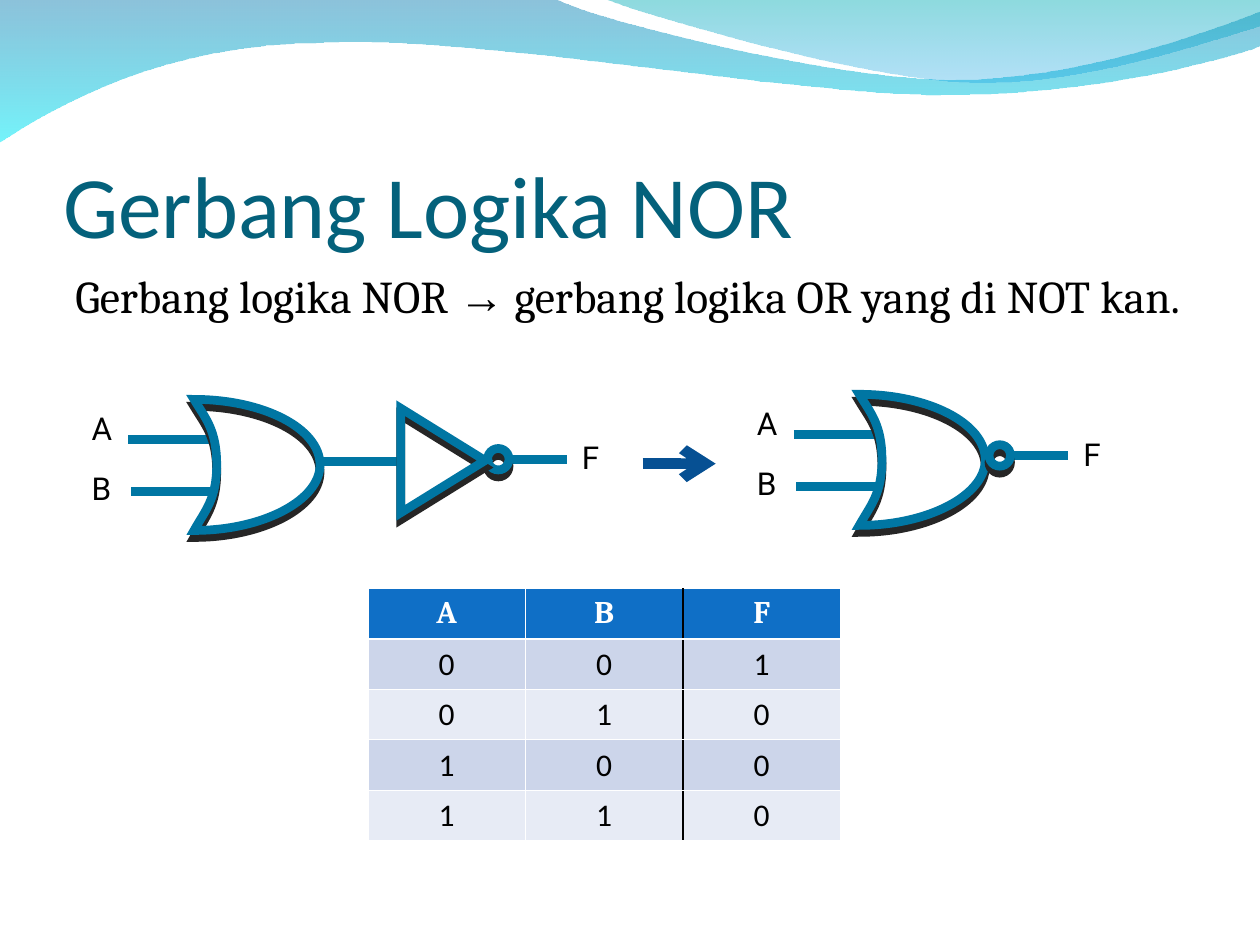
from pptx import Presentation
from pptx.dml.color import RGBColor
from pptx.enum.shapes import MSO_CONNECTOR as Connector, MSO_SHAPE as Preset
from pptx.enum.text import MSO_ANCHOR as Anchor, PP_ALIGN as Align
from pptx.oxml import parse_xml
from pptx.oxml.ns import nsdecls, qn
from pptx.util import Inches, Pt

GATE_BLUE, ARROW_BLUE, SHADOW = "0076A3", "065093", "262626"
TRUTH_TABLE = ["ABF", "001", "010", "100", "110"]


def color(hex_code):
    return RGBColor.from_string(hex_code)


def xml(markup):
    """Parse one DrawingML element, adding its namespace to the first tag."""
    tag, rest = markup.split(" ", 1)
    return parse_xml(f"{tag} {nsdecls('a')} {rest}")


def write(para, text, font="Calibri", size=18, ink="000000", bold=False, align=None):
    span = para.add_run()
    span.text = text
    span.font.name, span.font.size, span.font.bold = font, Pt(size), bold
    span.font.color.rgb = color(ink)
    if align is not None:
        para.alignment = align


def add_outline(shapes, start, *segments, left=0, top=0):
    """Closed outline; a segment is (x, y) for a line or six numbers for a curve."""
    def corner(x, y):
        return Inches(left + x), Inches(top + y)

    builder = shapes.build_freeform(*corner(*start), scale=1.0)
    builder.add_line_segments(
        [corner(*segment[i:i + 2]) for segment in segments
         for i in range(0, len(segment), 2)], close=True)
    outline = builder.convert_to_shape()
    outline.shadow.inherit = False
    lines = iter(list(outline.element.iter(qn("a:lnTo"))))
    for segment in segments:
        first = next(lines)
        if len(segment) == 6:
            bezier = xml("<a:cubicBezTo />")
            first.addprevious(bezier)
            for line in (first, next(lines), next(lines)):
                bezier.append(line[0])
                line.getparent().remove(line)
    return outline


def add_wave(page, stops, *outline):
    """Fill a band with a vertical gradient and move it to the layout."""
    wave = add_outline(page.shapes, *outline)
    wave.line.fill.background()
    wave.fill.gradient()
    wave.fill.gradient_angle = 270
    for stop, (position, hex_code, _) in zip(wave.fill.gradient_stops, stops):
        stop.position = position
        stop.color.rgb = color(hex_code)
    for node, (_, _, opacity) in zip(wave.element.iter(qn("a:srgbClr")), stops):
        node.append(xml(f'<a:alpha val="{opacity * 1000}"/>'))
    page.slide_layout.shapes.element.append(wave.element)


def add_waves(page):
    add_wave(page, [(0, "0079AF", 45), (1, "00EBF8", 55)],
             (0, -0.01), (4.4, -0.01), (4.76, 0.17, 6.64, 0.63, 7.58, 0.63),
             (8.53, 0.63, 9.58, 0.26, 10, 0.09), (10.01, 0.36),
             (9.83, 0.44, 8.7, 0.76, 7.46, 0.75), (6.22, 0.75, 3.82, 0.28, 2.57, 0.34),
             (1.29, 0.35, 0.46, 0.83, -0.01, 1.13))
    add_wave(page, [(0, "00ADB6", 45), (1, "009BE5", 30)],
             (4.79, -0.01), (5.09, 0.11, 6.82, 0.62, 7.69, 0.65),
             (8.56, 0.69, 9.61, 0.32, 10, 0.21), (10, 0))


def style_gate(shape):
    """Give a gate part its hollow thick outline and hard shadow below."""
    shape.fill.background()
    shape.line.color.rgb, shape.line.width = color(GATE_BLUE), Pt(5)
    shape.element.spPr.find(qn("a:ln")).append(xml('<a:miter lim="800000"/>'))
    shape.shadow.inherit = False
    shape.element.spPr.find(qn("a:effectLst")).append(xml(
        f'<a:outerShdw blurRad="0" dist="{Pt(4)}" dir="5400000" algn="ctr" rotWithShape="0">'
        f'<a:srgbClr val="{SHADOW}"/></a:outerShdw>'))


def add_wire(shapes, x1, x2, y, ink=GATE_BLUE, width=5, arrow=False):
    wire = shapes.add_connector(
        Connector.STRAIGHT, Inches(x1), Inches(y), Inches(x2), Inches(y))
    wire.line.color.rgb, wire.line.width = color(ink), Pt(width)
    if arrow:
        wire.element.spPr.find(qn("a:ln")).append(xml('<a:tailEnd type="arrow"/>'))
    wire.element.spPr.append(xml("<a:effectLst />"))


def add_label(shapes, text, left, top, width=0.36):
    box = shapes.add_textbox(Inches(left), Inches(top), Inches(width), Inches(0.4))
    box.text_frame.word_wrap = False
    write(box.text_frame.paragraphs[0], text, font="Roboto")


def add_or_gate(shapes, left, top):
    for name, start, wire_y, label_y in (("A", -0.52, 0.32, 0.03), ("B", -0.5, 0.73, 0.5)):
        add_wire(shapes, left + start, left + 0.15, top + wire_y)
        add_label(shapes, name, left - 0.91, top + label_y)
    style_gate(add_outline(
        shapes, (0, 1.04), (0.09, 0.88, 0.18, 0.79, 0.18, 0.52),
        (0.18, 0.24, 0.09, 0.15, 0, 0), (0.55, 0, 1, 0.23, 1, 0.52),
        (1, 0.8, 0.55, 1.04, 0, 1.04), left=left, top=top))


def add_output(shapes, left, top):
    """Inverting bubble, its wire and the label F."""
    size = 0.17
    add_wire(shapes, left + size, left + 0.63, top + size / 2)
    style_gate(shapes.add_shape(
        Preset.OVAL, Inches(left), Inches(top), Inches(size), Inches(size)))
    add_label(shapes, "F", left + 0.65, top - 0.13, width=0.33)


def add_or_then_not(page, left, top):
    shapes = page.shapes.add_group_shape().shapes
    add_wire(shapes, left + 0.98, left + 1.64, top + 0.49)
    add_output(shapes, left + 2.33, top + 0.39)
    triangle = shapes.add_shape(Preset.ISOSCELES_TRIANGLE, Inches(left + 1.56),
                                Inches(top + 0.15), Inches(0.83), Inches(0.67))
    triangle.rotation = 90
    style_gate(triangle)
    add_or_gate(shapes, left, top)


def add_nor(page, left, top):
    shapes = page.shapes.add_group_shape().shapes
    add_or_gate(shapes, left, top)
    add_output(shapes, left + 1.03, top + 0.4)


def set_borders(cell, **sides):
    """Draw cell borders; each side (L, R, T, B) is (colour, points)."""
    properties = cell._tc.get_or_add_tcPr()
    for index, side in enumerate("LRTB"):
        ink, width = sides[side]
        properties.insert(index, xml(
            f'<a:ln{side} w="{Pt(width)}"><a:solidFill><a:srgbClr val="{ink}"/>'
            f'</a:solidFill></a:ln{side}>'))


def add_truth_table(page, left, top, width, height):
    table = page.shapes.add_table(len(TRUTH_TABLE), 3, Inches(left), Inches(top),
                                  Inches(width), Inches(height)).table
    thin, thick, divider = ("FFFFFF", 0.45), ("FFFFFF", 1.47), ("000000", 1.47)
    for row, values in enumerate(TRUTH_TABLE):
        header = row == 0
        fill = "0F6FC6" if header else ("E7EBF5", "CCD5EA")[row % 2]
        look = dict(font="Cambria", ink="FFFFFF", bold=True) if header else {}
        for column, value in enumerate(values):
            cell = table.cell(row, column)
            cell.fill.solid()
            cell.fill.fore_color.rgb = color(fill)
            write(cell.text_frame.paragraphs[0], value, align=Align.CENTER, **look)
            set_borders(cell, L=divider if column == 2 else thin,
                        R=divider if column == 1 else thin,
                        T=thick if row == 1 else thin, B=thick if header else thin)


def set_title(page, text, left, top, width, height):
    title = page.shapes.title
    title.left, title.top, title.width, title.height = map(
        Inches, (left, top, width, height))
    frame = title.text_frame
    frame.vertical_anchor = Anchor.BOTTOM
    frame.margin_left = frame.margin_right = frame.margin_bottom = 0
    frame.margin_top = Inches(0.05)
    write(frame.paragraphs[0], text, size=50, ink="04617B", align=Align.LEFT)


def add_statement(page, left, top, width, height):
    box = page.shapes.add_textbox(*map(Inches, (left, top, width, height)))
    box.text_frame.word_wrap = True
    para = box.text_frame.paragraphs[0]
    indent = para._p.get_or_add_pPr()
    indent.set("marL", str(Inches(0.3)))
    indent.set("indent", str(Inches(-0.3)))
    for text, font in (("Gerbang logika NOR ", "Cambria"), ("→", "Arial"),
                       (" gerbang logika OR yang di NOT kan.", "Cambria")):
        write(para, text, font=font, size=26)


def main():
    deck = Presentation()
    deck.slide_width, deck.slide_height = Inches(10), Inches(7.5)
    page = deck.slides.add_slide(deck.slide_layouts[5])
    add_waves(page)
    set_title(page, "Gerbang Logika NOR", 0.5, 0.78, 9, 1.25)
    add_statement(page, 0.5, 2.08, 9, 4.8)
    add_truth_table(page, 2.92, 4.67, 3.75, 2)
    add_wire(page.shapes, 5.1, 5.68, 3.68, ink=ARROW_BLUE, width=6, arrow=True)
    add_nor(page, 6.82, 3.13)
    add_or_then_not(page, 1.54, 3.17)
    deck.save("out.pptx")


if __name__ == "__main__":
    main()
